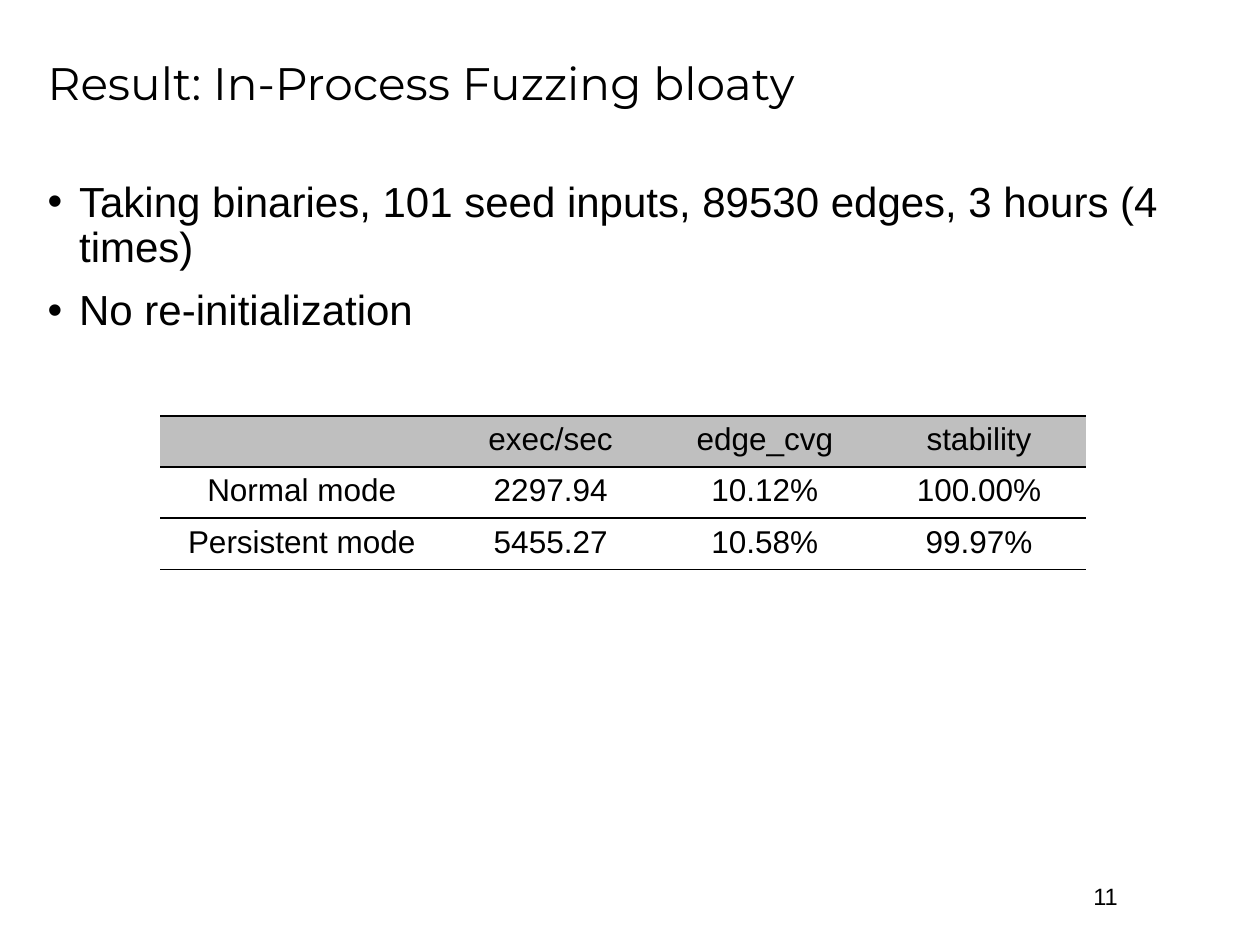
from lxml.etree import SubElement
from pptx import Presentation
from pptx.dml.color import RGBColor
from pptx.enum.text import MSO_ANCHOR as Anchor, PP_ALIGN as Align
from pptx.oxml import parse_xml
from pptx.oxml.ns import nsdecls, qn
from pptx.util import Inches, Pt

COLORS = {"text": "000000", "rule": "000000", "header": "BFBFBF"}
RESULTS = [
    ["", "exec/sec", "edge_cvg", "stability"],
    ["Normal mode", "2297.94", "10.12%", "100.00%"],
    ["Persistent mode", "5455.27", "10.58%", "99.97%"],
]


def write(paragraph, text, size, font="Arial", align=Align.LEFT, spacing=None, before=None):
    """Put formatted text in a paragraph."""
    paragraph.text = text
    paragraph.alignment = align
    paragraph.line_spacing = spacing
    paragraph.space_before = before
    paragraph.font.size = Pt(size)
    for run in paragraph.runs:
        run.font.size = Pt(size)
        run.font.name = font
        run.font.color.rgb = RGBColor.from_string(COLORS["text"])


def add_frame(slide, box, anchor=Anchor.TOP, wrap=True):
    """Add a text box and return its text frame."""
    frame = slide.shapes.add_textbox(*map(Inches, box)).text_frame
    frame.word_wrap = wrap
    frame.vertical_anchor = anchor
    return frame


def add_title(slide, box, text):
    """Add the slide heading."""
    frame = add_frame(slide, box, Anchor.MIDDLE)
    write(frame.paragraphs[0], text, 26, font="Montserrat", spacing=0.9)


def add_bullets(slide, box, points):
    """Add the bulleted experiment setup."""
    frame = add_frame(slide, box)
    for index, point in enumerate(points):
        paragraph = frame.add_paragraph() if index else frame.paragraphs[0]
        write(paragraph, point, 24, spacing=0.9, before=Pt(10))
        props = paragraph._p.get_or_add_pPr()
        props.set("marL", str(Inches(0.25)))
        props.set("indent", str(Inches(-0.25)))
        SubElement(props, qn("a:buFont")).set("typeface", "Arial")
        SubElement(props, qn("a:buChar")).set("char", "•")


def set_borders(cell):
    """Rule the top and bottom of a cell and leave its sides open."""
    rule = f'<a:solidFill><a:srgbClr val="{COLORS["rule"]}"/></a:solidFill>'
    edges = {"lnL": "<a:noFill/>", "lnR": "<a:noFill/>", "lnT": rule, "lnB": rule}
    props = cell._tc.get_or_add_tcPr()
    for position, (edge, paint) in enumerate(edges.items()):
        line = parse_xml(f'<a:{edge} {nsdecls("a")} w="{Pt(1)}">{paint}</a:{edge}>')
        props.insert(position, line)


def add_results(slide, box, rows, widths):
    """Add the table that compares the fuzzing modes."""
    table = slide.shapes.add_table(len(rows), len(widths), *map(Inches, box)).table
    table.first_row = table.horz_banding = False
    for column, width in zip(table.columns, widths):
        column.width = Inches(width)
    for row_index, values in enumerate(rows):
        for column_index, value in enumerate(values):
            cell = table.cell(row_index, column_index)
            write(cell.text_frame.paragraphs[0], value, 18, align=Align.CENTER)
            if row_index == 0:
                cell.fill.solid()
                cell.fill.fore_color.rgb = RGBColor.from_string(COLORS["header"])
            else:
                cell.fill.background()
            set_borders(cell)


def add_page_number(slide, box, number):
    """Add the page number at the foot of the slide."""
    frame = add_frame(slide, box, wrap=False)
    write(frame.paragraphs[0], number, 13.5)


def main():
    """Build and save the slide."""
    deck = Presentation()
    deck.slide_width, deck.slide_height = Inches(10), Inches(7.5)
    slide = deck.slides.add_slide(deck.slide_layouts[6])
    add_page_number(slide, (8.58, 6.95, 0.43, 0.33), "11")
    add_title(slide, (0.28, 0.17, 9.44, 1.03), "Result: In-Process Fuzzing bloaty")
    add_bullets(slide, (0.28, 1.39, 9.44, 5.37), [
        "Taking binaries, 101 seed inputs, 89530 edges, 3 hours (4 times)",
        "No re-initialization",
    ])
    add_results(slide, (1.27, 3.3, 7.36, 1.22), RESULTS, [2.25, 1.7, 1.7, 1.7])
    deck.save("out.pptx")


if __name__ == "__main__":
    main()
